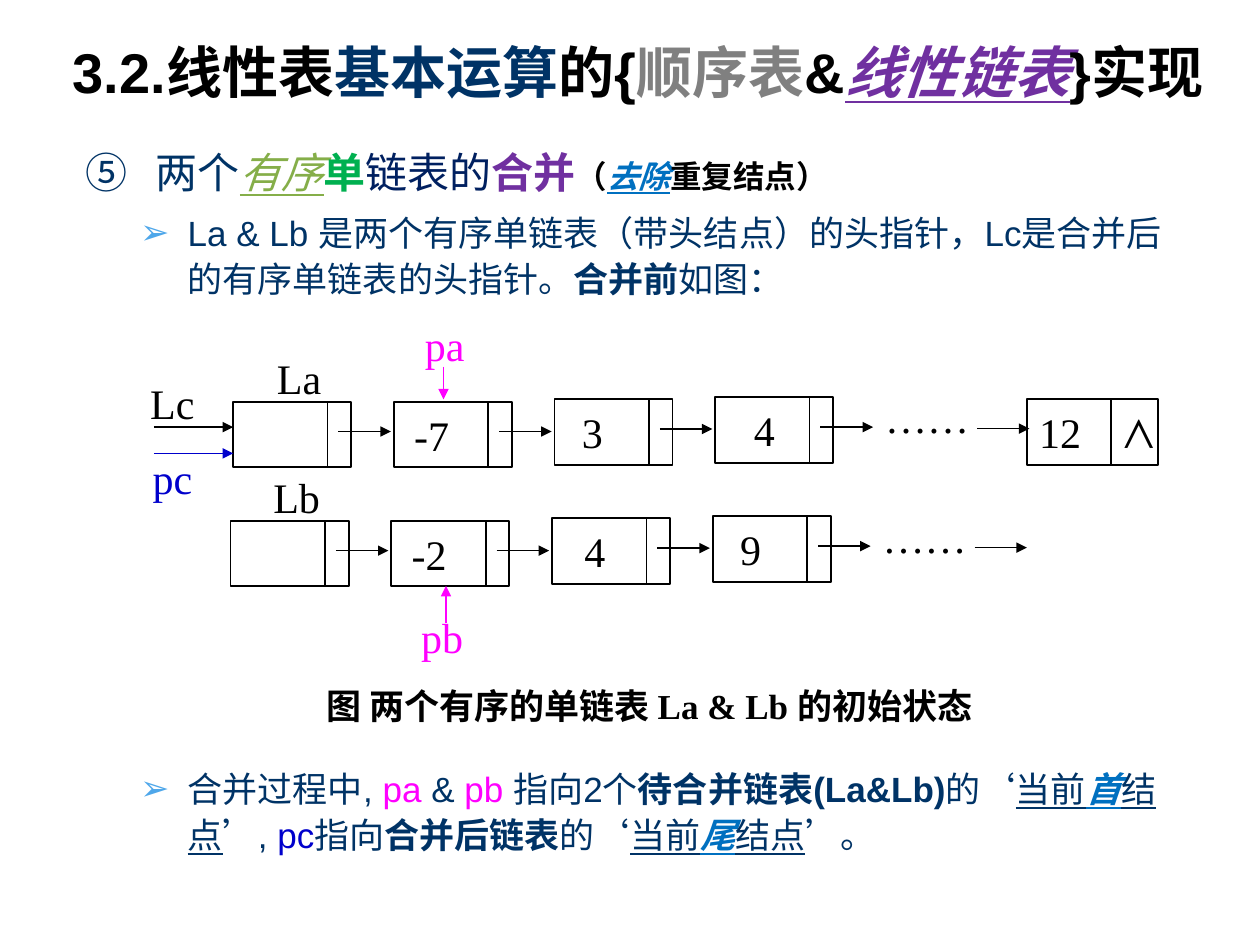
from pptx import Presentation
from pptx.dml.color import RGBColor
from pptx.enum.lang import MSO_LANGUAGE_ID
from pptx.enum.shapes import MSO_CONNECTOR, MSO_SHAPE
from pptx.enum.text import MSO_ANCHOR, MSO_AUTO_SIZE, PP_ALIGN
from pptx.oxml.ns import qn
from pptx.util import Cm, Pt
from lxml.etree import SubElement

BLACK, NAVY, BLUE = "000000", "003366", "0070C0"
PINK, PURPLE, ROYAL = "FF00FF", "7030A0", "0000CC"


def paint(text):
    return RGBColor.from_string(text)


class Board:
    sans, serif = "Arial", "Times New Roman"
    size, width = 24, 1

    def __init__(self, slide):
        self.slide = slide

    def place(self, shape, left, top, width, height):
        shape.left, shape.top = Cm(left), Cm(top)
        shape.width, shape.height = Cm(width), Cm(height)
        frame = shape.text_frame
        frame.word_wrap = True
        frame.auto_size = MSO_AUTO_SIZE.NONE
        return frame

    def fill(self, para, parts, size, face, align=None):
        para.font.name, para.font.size = face, Pt(size)
        para.alignment = align
        for text, color, marks, *extra in parts:
            run = para.add_run()
            run.text = text
            font = run.font
            font.language_id = MSO_LANGUAGE_ID.SIMPLIFIED_CHINESE
            font.color.rgb = paint(color)
            font.bold = "b" in marks
            font.italic = "i" in marks
            font.underline = "u" in marks
            for item in extra:
                if isinstance(item, str):
                    font.name = item
                else:
                    font.size = Pt(item)

    def title(self, box, parts):
        frame = self.place(self.slide.shapes.title, *box)
        frame.vertical_anchor = MSO_ANCHOR.MIDDLE
        self.fill(frame.paragraphs[0], parts, 32, self.sans, PP_ALIGN.CENTER)

    def body(self, box, items):
        frame = self.place(self.slide.placeholders[1], *box)
        frame.vertical_anchor = MSO_ANCHOR.TOP
        for index, (level, size, gap, parts) in enumerate(items):
            para = frame.add_paragraph() if index else frame.paragraphs[0]
            para.level = level
            para.line_spacing, para.space_before = 1.1, Pt(gap)
            self.bullet(para, level)
            self.fill(para, parts, size, self.sans, PP_ALIGN.LEFT)

    def bullet(self, para, level):
        left, hang, color = ((1.42, 1.42, NAVY), (2.06, 0.96, "4EA7EA"))[level]
        props = para._p.get_or_add_pPr()
        props.set("marL", str(Cm(left)))
        props.set("indent", str(-Cm(hang)))
        SubElement(SubElement(props, qn("a:buClr")), qn("a:srgbClr"), val=color)
        if level:
            SubElement(props, qn("a:buChar"), char="➢")
        else:
            SubElement(props, qn("a:buAutoNum"), type="circleNumDbPlain", startAt="5")

    def label(self, text, left, top, width=1.47, height=0.99, color=BLACK):
        self.text([(text, color, "")], left, top, width, height, self.size)

    def text(self, parts, left, top, width, height, size):
        shape = self.slide.shapes.add_textbox(0, 0, 0, 0)
        frame = self.place(shape, left, top, width, height)
        frame.vertical_anchor = MSO_ANCHOR.MIDDLE
        self.fill(frame.paragraphs[0], parts, size, self.serif, PP_ALIGN.CENTER)

    def node(self, text, left, top, pad=0.86, width=2.38, split=1.9, tab=None):
        height = 1.32
        shape = self.slide.shapes.add_shape(MSO_SHAPE.RECTANGLE, 0, 0, 0, 0)
        shape.shadow.inherit = False
        shape.fill.background()
        shape.line.color.rgb = paint(BLACK)
        shape.line.width = Pt(self.width)
        frame = self.place(shape, left, top, width, height)
        frame.vertical_anchor = MSO_ANCHOR.MIDDLE
        frame.margin_left, frame.margin_right = Cm(0.25 if tab else 0), Cm(pad)
        para = frame.paragraphs[0]
        if tab:
            stops = SubElement(para._p.get_or_add_pPr(), qn("a:tabLst"))
            SubElement(stops, qn("a:tab"), pos=str(Cm(tab)), algn="l")
        if text:
            align = PP_ALIGN.LEFT if tab else PP_ALIGN.CENTER
            self.fill(para, [(text, BLACK, "")], self.size, self.serif, align)
        self.line(left + split, top, left + split, top + height)

    def line(self, left, top, right, low, color=BLACK, head=False):
        ends = [Cm(value) for value in (left, top, right, low)]
        link = self.slide.shapes.add_connector(MSO_CONNECTOR.STRAIGHT, *ends)
        link.line.color.rgb = paint(color)
        link.line.width = Pt(self.width)
        if head:
            SubElement(link.line._get_or_add_ln(), qn("a:tailEnd"), type="triangle")
        SubElement(link._element.spPr, qn("a:effectLst"))

    def arrow(self, left, top, right, low, color=BLACK):
        self.line(left, top, right, low, color, True)

    def chain(self, name, left, top, cells):
        self.label(name, left + 0.16, top - 1.09, 2.34, 1.19)
        for index, ((text, pad), lift) in enumerate(zip(cells, (0, 0, 0.05, 0.09))):
            side, level = left + 3.24 * index, top - lift
            self.node(text, side, level, pad)
            self.arrow(side + 2.12, level + 0.6, side + 3.18, level + 0.6)
        self.label("……", left + 12.8, top - 0.35, 2.38, 1.32)
        self.arrow(left + 15, top + 0.54, left + 16.05, top + 0.54)


def main():
    deck = Presentation()
    deck.slide_width, deck.slide_height = Cm(25.4), Cm(19.05)
    board = Board(deck.slides.add_slide(deck.slide_layouts[1]))

    board.title((1.17, 0.76, 23.39, 1.35), [
        ("3.2.线性表", BLACK, "b"), ("基本运算", NAVY, "b"), ("的{", BLACK, "b"),
        ("顺序表", "808080", "b"), ("&", BLACK, "b"),
        ("线性链表", PURPLE, "biu"), ("}实现", BLACK, "b")])

    board.body((1.47, 2.72, 22.76, 15.06), [
        (0, 24, 6, [
            ("两个", NAVY, ""), ("有序", "85AE49", "iu"), ("单", "00B050", "b"),
            ("链表的", "002060", ""), ("合并", PURPLE, "b"), ("（", BLACK, "b", 18),
            ("去除", BLUE, "biu", 18), ("重复结点）", BLACK, "b", 18)]),
        (1, 20, 6, [
            ("La & Lb 是两个有序单链表（带头结点）的头指针，"
             "Lc是合并后的有序单链表的头指针。", NAVY, ""),
            ("合并前", NAVY, "b"), ("如图：", NAVY, "")]),
        (1, 20, 265, [
            ("合并过程中, ", NAVY, ""), ("pa ", PINK, ""), ("& ", NAVY, ""),
            ("pb ", PINK, ""), ("指向2个", NAVY, ""),
            ("待合并链表(La&Lb)", NAVY, "b"), ("的‘", NAVY, ""),
            ("当前", NAVY, "u"), ("首", BLUE, "biu"), ("结点", NAVY, "u"),
            ("’, ", NAVY, ""), ("pc", ROYAL, ""), ("指向", NAVY, ""),
            ("合并后链表", NAVY, "b"), ("的‘", NAVY, ""), ("当前", NAVY, "u"),
            ("尾", BLUE, "biu"), ("结点", NAVY, "u"), ("’。", NAVY, "")])])

    board.text([
        ("图 ", BLACK, "b", "Arial"),
        ("两个有序的单链表 ", BLACK, "b", "Noto Sans CJK SC"),
        ("La & Lb ", BLACK, "b"),
        ("的初始状态", BLACK, "b", "Noto Sans CJK SC")], 5.28, 13.64, 15.62, 1.17, 20)

    board.chain("La", 4.7, 8.1, [("", 0), ("-7", 0.86), ("3", 0.86), ("4", 0.4)])
    board.chain("Lb", 4.65, 10.5, [("", 0), ("-2", 0.86), ("4", 0.66), ("9", 0.86)])
    board.node("12\t⋀", 20.7, 8.05, 0, 2.64, 1.7, 1.7)

    for name, left, top, color, ends in (
            ("Lc", 2.74, 7.62, BLACK, (3.1, 8.61, 4.7, 8.61)),
            ("pc", 2.74, 9.14, ROYAL, (3.1, 9.14, 4.7, 9.14)),
            ("pa", 8.23, 6.45, PINK, (8.94, 7.39, 8.94, 8.05)),
            ("pb", 8.18, 12.34, PINK, (8.99, 12.55, 8.99, 11.81))):
        board.label(name, left, top, color=color)
        board.arrow(*ends, color)

    deck.save("out.pptx")


if __name__ == "__main__":
    main()
